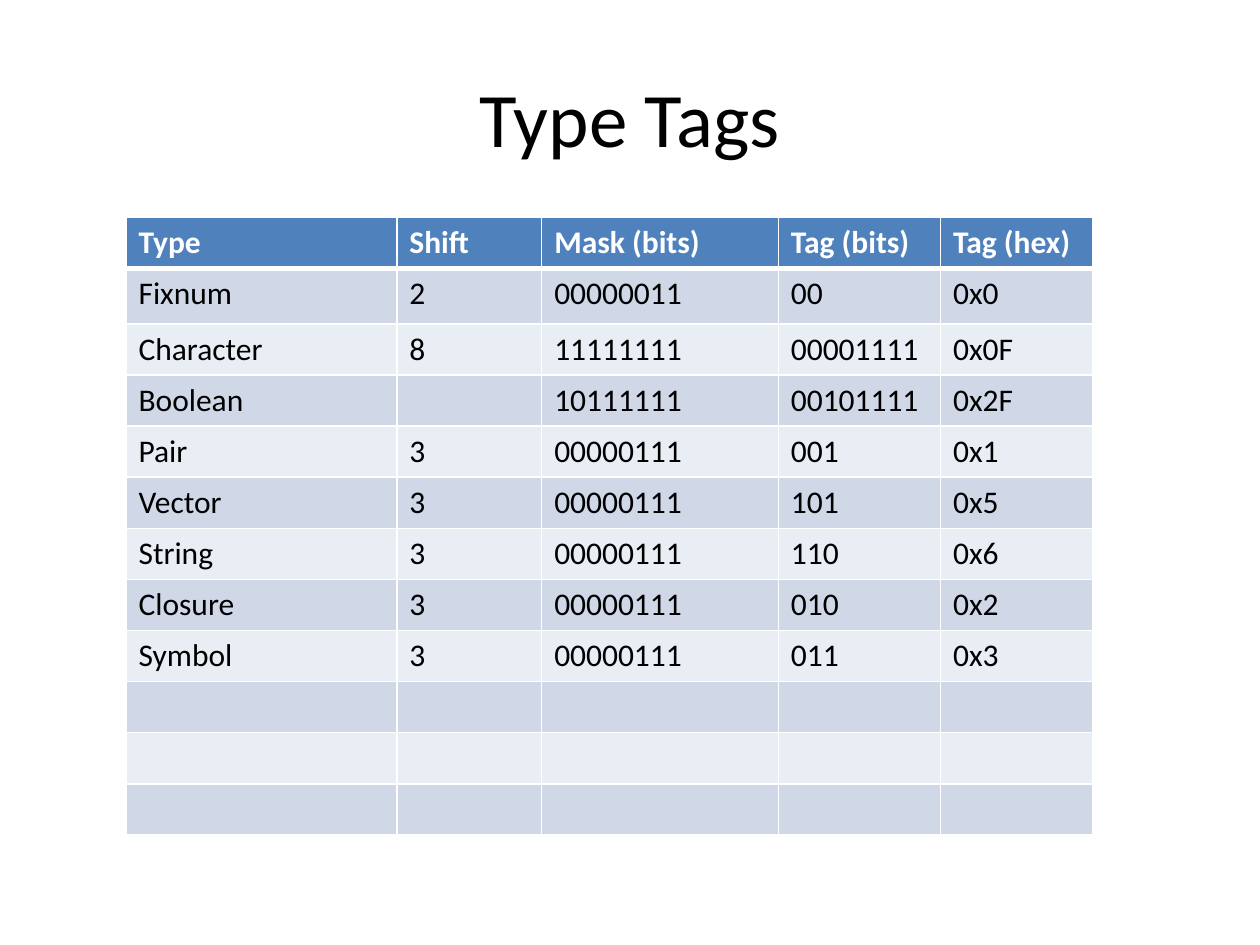
from lxml import etree
from pptx import Presentation
from pptx.dml.color import RGBColor
from pptx.enum.text import MSO_ANCHOR, PP_ALIGN
from pptx.oxml.ns import qn
from pptx.util import Cm, Pt

CENTER = PP_ALIGN.CENTER
MIDDLE = MSO_ANCHOR.MIDDLE
TITLE_ONLY = 5
FONT = "Calibri"
COLORS = {
    "text": "000000",
    "header": "4F81BD",
    "header_text": "FFFFFF",
    "odd_row": "D0D8E8",
    "even_row": "E9EDF4",
    "border": "FFFFFF",
}

HEADER = ["Type", "Shift", "Mask (bits)", "Tag (bits)", "Tag (hex)"]
TAGS = [
    ["Fixnum", "2", "00000011", "00", "0x0"],
    ["Character", "8", "11111111", "00001111", "0x0F"],
    ["Boolean", "", "10111111", "00101111", "0x2F"],
    ["Pair", "3", "00000111", "001", "0x1"],
    ["Vector", "3", "00000111", "101", "0x5"],
    ["String", "3", "00000111", "110", "0x6"],
    ["Closure", "3", "00000111", "010", "0x2"],
    ["Symbol", "3", "00000111", "011", "0x3"],
]
EMPTY_ROWS = 3
COLUMN_WIDTHS = [5.46, 2.92, 4.77, 3.27, 3.06]
ROW_HEIGHT, FIRST_TAG_HEIGHT = 0.97, 1.12


def color(name):
    return RGBColor.from_string(COLORS[name])


def add_run(p, text, size, color_name, bold=False):
    r = p.add_run()
    r.text = text
    r.font.name = FONT
    r.font.size = Pt(size)
    r.font.bold = bold
    r.font.color.rgb = color(color_name)


def set_borders(cell, bottom_width):
    """Draw all four sides of a cell; lines must precede the fill."""
    tc_pr = cell._tc.get_or_add_tcPr()
    widths = {"a:lnL": 1, "a:lnR": 1, "a:lnT": 1, "a:lnB": bottom_width}
    for i, (tag, width) in enumerate(widths.items()):
        ln = etree.Element(qn(tag), w=str(Pt(width)))
        fill = etree.SubElement(ln, qn("a:solidFill"))
        etree.SubElement(fill, qn("a:srgbClr"), val=COLORS["border"])
        tc_pr.insert(i, ln)


def add_title(slide, text, left, top, width, height):
    sp = slide.shapes.title
    sp.left, sp.top, sp.width, sp.height = left, top, width, height
    tf = sp.text_frame
    tf.vertical_anchor = MIDDLE
    p = tf.paragraphs[0]
    p.alignment = CENTER
    add_run(p, text, 44, "text")


def add_tag_table(slide, left, top, width, height):
    rows = [HEADER] + TAGS + [[""] * len(HEADER)] * EMPTY_ROWS
    frame = slide.shapes.add_table(len(rows), len(HEADER), left, top, width, height)
    table = frame.table
    for column, column_width in zip(table.columns, COLUMN_WIDTHS):
        column.width = Cm(column_width)
    for i, row in enumerate(rows):
        is_header = i == 0
        table.rows[i].height = Cm(FIRST_TAG_HEIGHT if i == 1 else ROW_HEIGHT)
        fill = "header" if is_header else "odd_row" if i % 2 else "even_row"
        text_color = "header_text" if is_header else "text"
        for j, text in enumerate(row):
            cell = table.cell(i, j)
            cell.fill.solid()
            cell.fill.fore_color.rgb = color(fill)
            set_borders(cell, 3 if is_header else 1)
            if text:
                add_run(cell.text_frame.paragraphs[0], text, 18, text_color, is_header)
    # Row heights shrink the frame, so restore its full height
    frame.height = height


def main():
    prs = Presentation()
    prs.slide_width, prs.slide_height = Cm(25.4), Cm(19.05)
    slide = prs.slides.add_slide(prs.slide_layouts[TITLE_ONLY])

    # Title
    add_title(slide, "Type Tags", Cm(1.27), Cm(0.76), Cm(22.86), Cm(3.18))

    # Table of type tags
    add_tag_table(slide, Cm(2.54), Cm(4.38), Cm(sum(COLUMN_WIDTHS)), Cm(12.29))

    prs.save("out.pptx")


if __name__ == "__main__":
    main()
